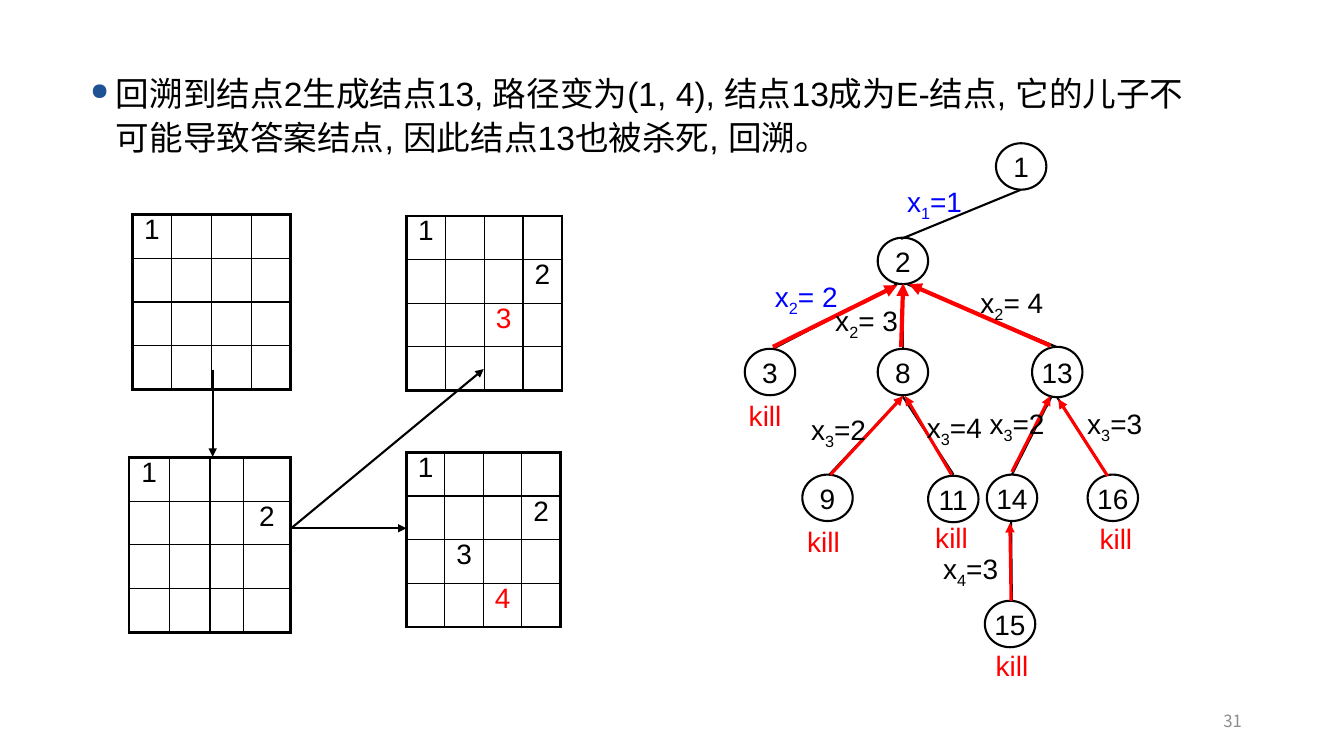
from lxml.etree import SubElement
from pptx import Presentation
from pptx.dml.color import RGBColor
from pptx.enum.shapes import MSO_CONNECTOR, MSO_SHAPE
from pptx.enum.text import MSO_ANCHOR as Anchor, PP_ALIGN as Align
from pptx.oxml.ns import qn
from pptx.util import Cm, Pt

COLORS = {"black": "000000", "white": "FFFFFF", "red": "FF0000",
          "blue": "0000FF", "bullet": "1E5293", "gray": "8C8C8C"}
RGB = {name: RGBColor.from_string(value) for name, value in COLORS.items()}


def write(frame, pieces, color="black", size=20, font="Arial", **paragraph_format):
    """Fill the first paragraph; every second piece is a subscript."""
    paragraph = frame.paragraphs[0]
    for name, value in paragraph_format.items():
        setattr(paragraph, name, value)
    for index, piece in enumerate(pieces):
        run = paragraph.add_run()
        run.text = piece
        for name, value in {"name": font, "size": Pt(size)}.items():
            setattr(run.font, name, value)
        run.font.color.rgb = RGB[color]
        if index % 2:
            run.font._element.set("baseline", "-25000")
    return paragraph


def add_line(ends, color, width, arrow):
    line = slide.shapes.add_connector(MSO_CONNECTOR.STRAIGHT, *map(Cm, ends))
    line.line.color.rgb = RGB[color]
    line.line.width = Pt(width)
    if arrow:
        SubElement(line.line._get_or_add_ln(), qn("a:tailEnd"), type="triangle")
    SubElement(line._element.spPr, qn("a:effectLst"))


presentation = Presentation()
presentation.slide_width, presentation.slide_height = Cm(33.87), Cm(19.05)
slide = presentation.slides.add_slide(presentation.slide_layouts[6])

# Explanation
box = slide.shapes.add_textbox(Cm(2.03), Cm(1.6), Cm(28.63), Cm(2.51))
box.text_frame.word_wrap = True
explanation = write(
    box.text_frame,
    ["回溯到结点2生成结点13, 路径变为(1, 4), 结点13成为E-结点, "
     "它的儿子不可能导致答案结点, 因此结点13也被杀死, 回溯。"],
    size=24, line_spacing=1.1)
properties = explanation._p.get_or_add_pPr()
for name, value in {"marL": Cm(0.64), "indent": -Cm(0.64)}.items():
    properties.set(name, str(value))
bullet_color = SubElement(properties, qn("a:buClr"))
SubElement(bullet_color, qn("a:srgbClr"), val=COLORS["bullet"])
SubElement(properties, qn("a:buSzPct"), val="70000")
SubElement(properties, qn("a:buChar"), char="●")

# Chessboards: left, top, column widths, fill, queens by (row, column)
BOARD_SIZE = 4
boards = [
    (3.33, 5.41, [1.0] * 4, None, {(0, 0): ("1", "black")}),
    (3.25, 11.53, [1.02, 1.02, 0.84, 1.19], None,
     {(0, 0): ("1", "black"), (1, 3): ("2", "black")}),
    (10.24, 11.4, [0.97] * 4, "white",
     {(0, 0): ("1", "black"), (1, 3): ("2", "black"),
      (2, 1): ("3", "black"), (3, 2): ("4", "red")}),
    (10.24, 5.44, [0.98] * 4, "white",
     {(0, 0): ("1", "black"), (1, 3): ("2", "black"), (2, 2): ("3", "red")}),
]
for left, top, widths, fill, queens in boards:
    table = slide.shapes.add_table(BOARD_SIZE, BOARD_SIZE, Cm(left), Cm(top),
                                   Cm(sum(widths)), Cm(4.4)).table
    table.first_row = table.horz_banding = False
    for column, width in zip(table.columns, widths):
        column.width = Cm(width)
    for row_index, row in enumerate(table.rows):
        row.height = Cm(1.1)
        for column_index, cell in enumerate(row.cells):
            outer_sides = {"lnL": column_index == 0,
                           "lnR": column_index == BOARD_SIZE - 1,
                           "lnT": row_index == 0,
                           "lnB": row_index == BOARD_SIZE - 1}
            cell_properties = cell._tc.get_or_add_tcPr()
            for side, outer in outer_sides.items():
                border = SubElement(cell_properties, qn(f"a:{side}"),
                                    w=str(Pt(2.25 if outer else 1)))
                border_fill = SubElement(border, qn("a:solidFill"))
                SubElement(border_fill, qn("a:srgbClr"), val=COLORS["black"])
            if fill:
                cell.fill.solid()
                cell.fill.fore_color.rgb = RGB[fill]
            else:
                cell.fill.background()
            if (row_index, column_index) in queens:
                queen, color = queens[row_index, column_index]
                write(cell.text_frame, [queen], color,
                      alignment=Align.CENTER, line_spacing=0.8)

# Tree nodes: label, left, top
nodes = [("1", 25.1, 3.61), ("2", 22.12, 5.99), ("3", 18.77, 8.79),
         ("8", 22.12, 8.79), ("13", 26.01, 8.74), ("9", 20.22, 11.96),
         ("11", 23.39, 11.99), ("14", 24.87, 11.96), ("16", 27.41, 11.96),
         ("15", 24.82, 15.14)]
for label, left, top in nodes:
    height = 1.27 if label == "13" else 1.17
    node = slide.shapes.add_shape(MSO_SHAPE.OVAL, Cm(left), Cm(top),
                                  Cm(1.27), Cm(height))
    node.shadow.inherit = False
    node.fill.background()
    node.line.color.rgb = RGB["black"]
    node.line.width = Pt(1.5)
    node.text_frame.word_wrap = False
    node.text_frame.vertical_anchor = Anchor.MIDDLE
    write(node.text_frame, [label], alignment=Align.CENTER)

# Lines by color, width and arrowhead; each one as x1, y1, x2, y2
tree_edges = [
    (25.73, 4.78, 22.71, 6.02), (22.61, 7.16, 19.48, 8.79),
    (22.76, 7.14, 22.76, 8.79), (22.86, 7.16, 26.62, 8.74),
    (22.73, 10.01, 20.9, 11.96), (22.73, 9.96, 24.03, 11.96),
    (26.49, 10.01, 25.5, 11.96), (26.64, 10.01, 27.91, 11.99),
    (25.48, 13.13, 25.5, 15.16)]
board_arrows = [(5.36, 9.32, 5.36, 11.51), (7.32, 13.31, 10.24, 13.31),
                (7.34, 13.31, 12.19, 9.3)]
upper_backtracks = [(19.48, 8.74, 22.61, 7.19), (22.71, 8.74, 22.76, 7.14),
                    (26.47, 8.71, 22.91, 7.16)]
lower_backtracks = [
    (20.93, 11.96, 22.76, 9.98), (23.98, 11.96, 22.81, 9.98),
    (25.5, 11.89, 26.47, 9.98), (27.91, 11.99, 26.67, 10.06),
    (25.48, 15.14, 25.45, 13.18)]
for lines, color, width, arrow in [(tree_edges, "black", 1.5, False),
                                   (board_arrows, "black", 1.5, True),
                                   (upper_backtracks, "red", 3, True),
                                   (lower_backtracks, "red", 2.25, True)]:
    for ends in lines:
        add_line(ends, color, width, arrow)

# Branch labels and kill marks: pieces, left, top, width, color, line spacing
labels = [
    (("x", "1", "=1"), 22.61, 4.52, 2.24, "blue", 1.0),
    (("x", "2", "= 2"), 19.28, 6.91, 2.39, "blue", 1.0),
    (("x", "2", "= 3"), 20.8, 7.52, 2.39, "black", 1.0),
    (("x", "2", "= 4"), 24.46, 7.06, 2.44, "black", 1.0),
    (("x", "3", "=2"), 20.19, 10.26, 2.29, "black", 1.0),
    (("x", "3", "=4"), 23.11, 10.21, 2.39, "black", 1.0),
    (("x", "3", "=2"), 24.69, 10.13, 2.29, "black", 1.0),
    (("x", "3", "=3"), 27.15, 10.13, 2.39, "black", 1.0),
    (("x", "4", "=3"), 23.52, 13.94, 2.24, "black", 0.7),
]
kill_places = [(18.62, 10.08), (20.09, 13.26), (23.32, 13.16),
               (27.46, 13.18), (24.84, 16.38)]
labels += [(("kill",), left, top, 1.83, "red", 0.8) for left, top in kill_places]
for pieces, left, top, width, color, spacing in labels:
    box = slide.shapes.add_textbox(Cm(left), Cm(top), Cm(width),
                                   Cm(1.12 if spacing == 1 else 0.92))
    box.text_frame.word_wrap = True
    write(box.text_frame, pieces, color, line_spacing=spacing)

# Page number
box = slide.shapes.add_textbox(Cm(23.93), Cm(17.65), Cm(7.62), Cm(1.02))
box.text_frame.word_wrap = True
box.text_frame.vertical_anchor = Anchor.MIDDLE
write(box.text_frame, ["31"], "gray", 12, "Noto Sans CJK SC", alignment=Align.RIGHT)

presentation.save("out.pptx")
